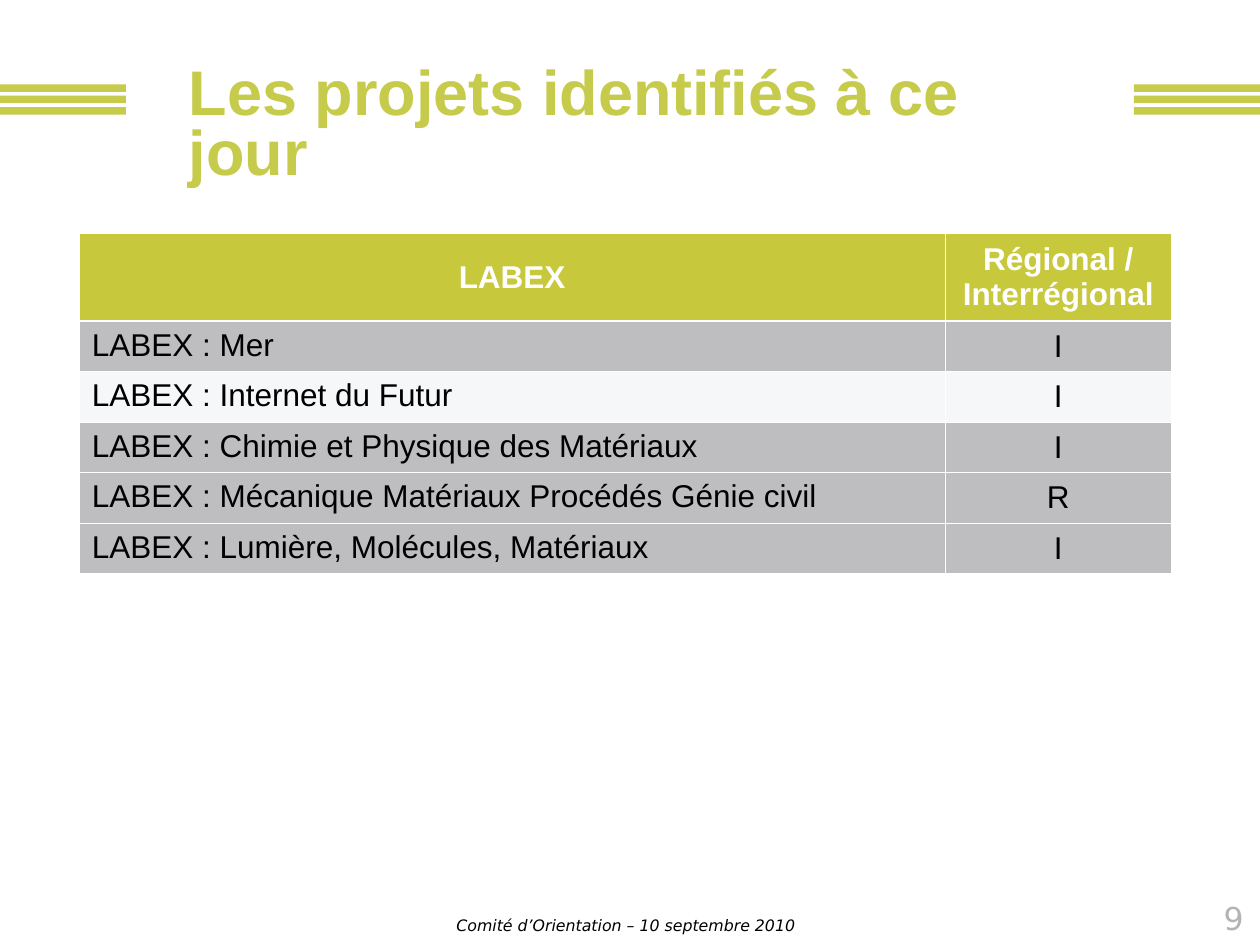
from dataclasses import dataclass
from typing import Any

from lxml.etree import SubElement
from pptx import Presentation
from pptx.dml.color import RGBColor
from pptx.enum.shapes import MSO_SHAPE
from pptx.enum.text import MSO_ANCHOR, PP_ALIGN
from pptx.oxml import parse_xml
from pptx.oxml.ns import nsdecls, qn
from pptx.util import Inches, Pt

LIME, HEADER_LIME = "C6CB4C", "C8C83C"
GREY, PALE, WHITE, BLACK = "7F7F83", "F6F7F8", "FFFFFF", "000000"
THIN, THICK = 0.45, 1.47


@dataclass(frozen=True)
class Project:
    name: str
    scope: str
    fill: str = GREY


@dataclass(frozen=True)
class Label:
    text: str
    box: tuple[float, float, float, float]
    font: dict[str, Any]
    color: str
    align: PP_ALIGN = PP_ALIGN.LEFT
    anchor: MSO_ANCHOR = MSO_ANCHOR.MIDDLE
    spacing: float = 1.0
    fill: str | None = None


PROJECTS = [
    Project("Mer", "I"),
    Project("Internet du Futur", "I", PALE),
    Project("Chimie et Physique des Matériaux", "I"),
    Project("Mécanique Matériaux Procédés Génie civil", "R"),
    Project("Lumière, Molécules, Matériaux", "I"),
]

FOOTER = Label("Comité d’Orientation – 10 septembre 2010", (2.09, 7.19, 5.75, 0.31),
               {"name": "DejaVu Sans", "size": Pt(9), "italic": True}, BLACK,
               PP_ALIGN.CENTER)
PAGE_NUMBER = Label("9", (9.08, 7.13, 0.79, 0.31),
                    {"name": "DejaVu Sans", "size": Pt(18)}, "B3B3B3", PP_ALIGN.RIGHT)
TITLE = Label("Les projets identifiés à ce jour", (1.5, 0.53, 7.17, 0.96),
              {"name": "Arial", "size": Pt(36), "bold": True}, LIME,
              anchor=MSO_ANCHOR.TOP, spacing=0.8, fill=WHITE)


def set_color(target, color: str) -> None:
    """Colour a fill, or a font through its fill."""
    fill = getattr(target, "fill", target)
    fill.solid()
    fill.fore_color.rgb = RGBColor.from_string(color)


def write(frame, text: str, font: dict[str, Any], color: str, align: PP_ALIGN,
          spacing: float = 1.0) -> None:
    paragraph = frame.paragraphs[0]
    paragraph.alignment = align
    paragraph.line_spacing = spacing
    run = paragraph.add_run()
    run.text = text
    for attribute, value in font.items():
        setattr(run.font, attribute, value)
    set_color(run.font, color)


def add_label(slide, label: Label) -> None:
    box = slide.shapes.add_textbox(*map(Inches, label.box))
    if label.fill:
        set_color(box, label.fill)
    frame = box.text_frame
    layout = {"word_wrap": True, "vertical_anchor": label.anchor, "margin_left": 0,
              "margin_top": 0, "margin_right": 0, "margin_bottom": 0}
    for attribute, value in layout.items():
        setattr(frame, attribute, value)
    write(frame, label.text, label.font, label.color, label.align, label.spacing)


def add_stripes(slide, left: float) -> None:
    for row in range(3):
        stripe = slide.shapes.add_shape(
            MSO_SHAPE.RECTANGLE, Inches(left), Inches(0.67 + 0.09 * row),
            Inches(1), Inches(0.06))
        stripe.shadow.inherit = False
        set_color(stripe, LIME)
        stripe.line.fill.background()


def set_borders(cell, top: float, bottom: float) -> None:
    """Put white lines, with widths in points, before the fill of the cell."""
    widths = {"L": THIN, "R": THIN, "T": top, "B": bottom}
    properties = cell._tc.get_or_add_tcPr()
    for index, (side, width) in enumerate(widths.items()):
        properties.insert(index, parse_xml(
            f'<a:ln{side} {nsdecls("a")} w="{Pt(width)}"><a:solidFill>'
            f'<a:srgbClr val="{WHITE}"/></a:solidFill></a:ln{side}>'))


def fill_cell(cell, text: str, fill: str, align: PP_ALIGN, header: bool) -> None:
    set_color(cell, fill)
    if fill == GREY:
        color = cell._tc.tcPr.find(".//" + qn("a:srgbClr"))
        SubElement(color, qn("a:alpha"), val="50000")
    centred = align == PP_ALIGN.CENTER
    cell.vertical_anchor = MSO_ANCHOR.MIDDLE if centred else MSO_ANCHOR.TOP
    write(cell.text_frame, text, {"name": "Arial", "size": Pt(18), "bold": header},
          WHITE if header else BLACK, align)


def add_project_table(slide) -> None:
    widths = (6.87, 1.8)
    heights = [0.7] + [0.4] * len(PROJECTS)
    table = slide.shapes.add_table(
        len(heights), len(widths), Inches(0.63), Inches(1.85),
        Inches(sum(widths)), Inches(sum(heights))).table
    for column, width in zip(table.columns, widths):
        column.width = Inches(width)
    rows = [("LABEX", "Régional / Interrégional", HEADER_LIME)]
    rows += [(f"LABEX : {project.name}", project.scope, project.fill)
             for project in PROJECTS]
    for index, (name, scope, fill) in enumerate(rows):
        header = index == 0
        table.rows[index].height = Inches(heights[index])
        name_cell, scope_cell = table.rows[index].cells
        fill_cell(name_cell, name, fill,
                  PP_ALIGN.CENTER if header else PP_ALIGN.LEFT, header)
        fill_cell(scope_cell, scope, fill, PP_ALIGN.CENTER, header)
        for cell in (name_cell, scope_cell):
            set_borders(cell, THICK if index == 1 else THIN, THICK if header else THIN)


def main() -> None:
    presentation = Presentation()
    presentation.slide_width = Inches(10)
    presentation.slide_height = Inches(7.5)
    slide = presentation.slides.add_slide(presentation.slide_layouts[6])
    set_color(slide.background, WHITE)
    for left in (9, 0):
        add_stripes(slide, left)
    for label in (FOOTER, PAGE_NUMBER):
        add_label(slide, label)
    add_project_table(slide)
    add_label(slide, TITLE)
    presentation.save("out.pptx")


if __name__ == "__main__":
    main()
